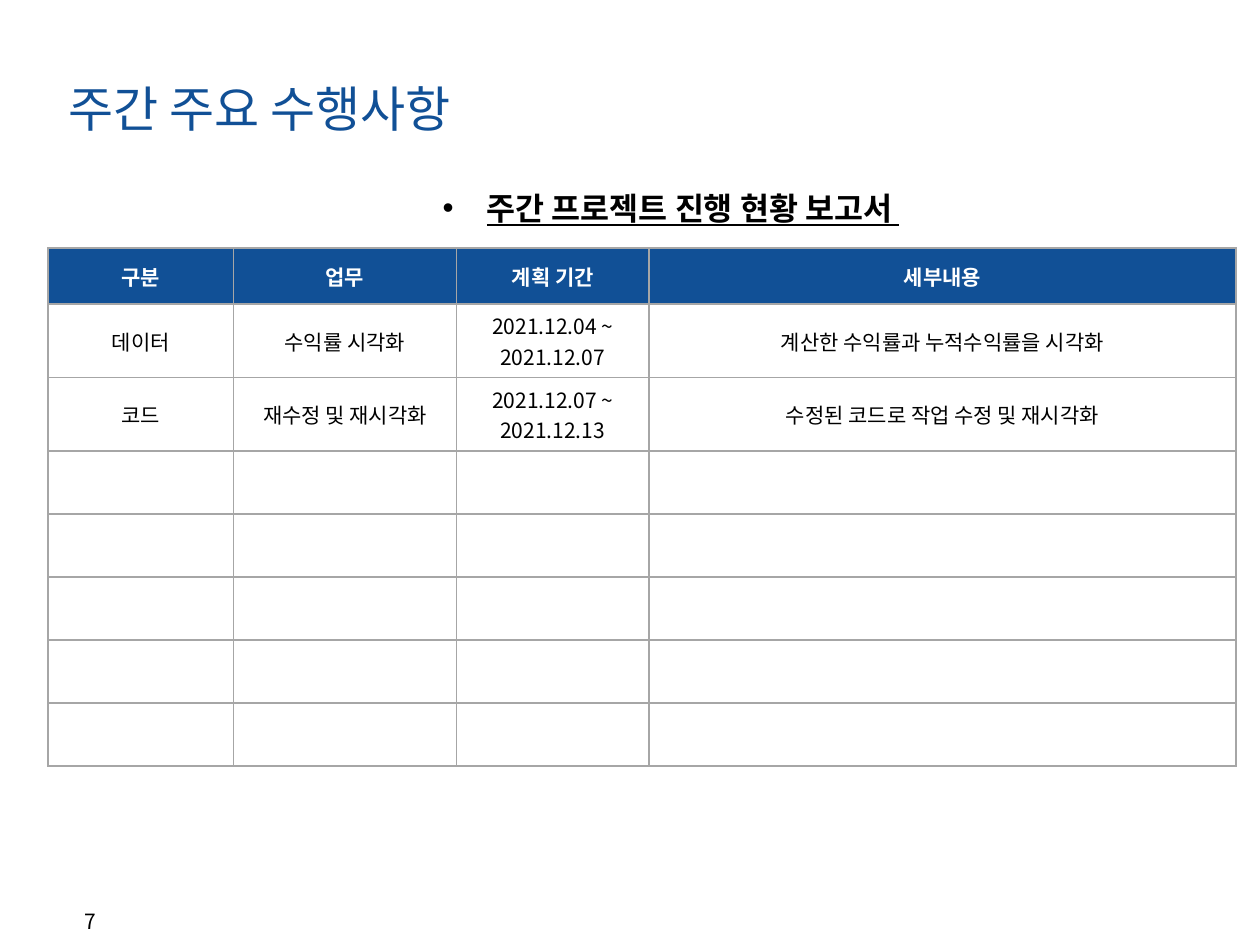
from lxml import etree
from pptx import Presentation
from pptx.dml.color import RGBColor
from pptx.enum.text import MSO_ANCHOR, MSO_AUTO_SIZE, PP_ALIGN
from pptx.oxml.ns import qn
from pptx.util import Pt

MIDDLE, TOP = MSO_ANCHOR.MIDDLE, MSO_ANCHOR.TOP
LEFT, CENTER = PP_ALIGN.LEFT, PP_ALIGN.CENTER
FONT = "Noto Sans CJK KR"
BLUE, BLACK, WHITE, GRAY = "115096", "000000", "FFFFFF", "A6A6A6"

TITLE = "주간 주요 수행사항"
HEADING = "주간 프로젝트 진행 현황 보고서 "
PAGE_NUMBER = "7"
HEADERS = ["구분", "업무", "계획 기간", "세부내용"]
TASKS = [
    ["데이터", "수익률 시각화", ["2021.12.04 ~ 2021.12.07"], "계산한 수익률과 누적수익률을 시각화"],
    ["코드", "재수정 및 재시각화", ["2021.12.07 ~", "2021.12.13"], "수정된 코드로 작업 수정 및 재시각화"],
]
EMPTY_ROWS = 5
COLUMN_WIDTHS = [106, 127.5, 110, 335.5]
HEADER_HEIGHT, ROW_HEIGHT = 32, 36


def color(value):
    return RGBColor.from_string(value)


def add_text(para, text, size, shade, bold=False, underline=False, align=CENTER):
    para.alignment = align
    span = para.add_run()
    span.text = text
    font = span.font
    font.name, font.size, font.bold, font.underline = FONT, Pt(size), bold, underline
    font.color.rgb = color(shade)
    etree.SubElement(span._r.get_or_add_rPr(), qn("a:ea"), typeface=FONT)


def place(box, left, top, width, height, anchor):
    box.left, box.top, box.width, box.height = Pt(left), Pt(top), Pt(width), Pt(height)
    frame = box.text_frame
    frame.word_wrap = True
    frame.auto_size = MSO_AUTO_SIZE.NONE
    frame.vertical_anchor = anchor
    return frame.paragraphs[0]


def add_bullet(para, margin, hanging):
    properties = para._p.get_or_add_pPr()
    properties.set("marL", str(Pt(margin)))
    properties.set("indent", str(-Pt(hanging)))
    etree.SubElement(properties, qn("a:buFont"), typeface="Arial")
    etree.SubElement(properties, qn("a:buChar"), char="•")


def add_borders(cell):
    properties = cell._tc.get_or_add_tcPr()
    for index, side in enumerate(["lnL", "lnR", "lnT", "lnB"]):
        line = etree.Element(qn(f"a:{side}"), w=str(Pt(1)))
        fill = etree.SubElement(line, qn("a:solidFill"))
        etree.SubElement(fill, qn("a:srgbClr"), val=GRAY)
        properties.insert(index, line)


def add_schedule(page):
    rows = [HEADERS] + TASKS + [[""] * len(HEADERS)] * EMPTY_ROWS
    heights = [HEADER_HEIGHT] + [ROW_HEIGHT] * (len(rows) - 1)
    table = page.shapes.add_table(
        len(rows), len(HEADERS), Pt(27.4), Pt(141.8),
        Pt(sum(COLUMN_WIDTHS)), Pt(sum(heights))).table
    table.horz_banding = False
    for column, width in zip(table.columns, COLUMN_WIDTHS):
        column.width = Pt(width)
    for row_index, (row, height) in enumerate(zip(rows, heights)):
        table.rows[row_index].height = Pt(height)
        header = row_index == 0
        for column_index, content in enumerate(row):
            cell = table.cell(row_index, column_index)
            cell.vertical_anchor = MIDDLE
            cell.fill.solid()
            cell.fill.fore_color.rgb = color(BLUE if header else WHITE)
            add_borders(cell)
            lines = content if isinstance(content, list) else [content]
            for number, text in enumerate(lines):
                frame = cell.text_frame
                para = frame.add_paragraph() if number else frame.paragraphs[0]
                if text:
                    add_text(para, text, 12, WHITE if header else BLACK, bold=header)


def main():
    deck = Presentation()
    deck.slide_width, deck.slide_height = Pt(720), Pt(540)
    page = deck.slides.add_slide(deck.slide_layouts[1])

    number_box = page.shapes.add_textbox(0, 0, 0, 0)
    add_text(place(number_box, 0, 515.5, 103, 21.6, MIDDLE), PAGE_NUMBER, 12, BLACK)

    title = place(page.shapes.title, 31.7, 43.2, 631.4, 37.4, MIDDLE)
    add_text(title, TITLE, 28, BLUE, align=LEFT)

    heading = place(page.placeholders[1], 31.7, 93.6, 679, 429.8, TOP)
    heading.line_spacing = 1.5
    heading.space_before = Pt(3.6)
    add_bullet(heading, 49.7, 25.2)
    add_text(heading, HEADING, 18, BLACK, bold=True, underline=True)

    add_schedule(page)
    deck.save("out.pptx")


if __name__ == "__main__":
    main()
